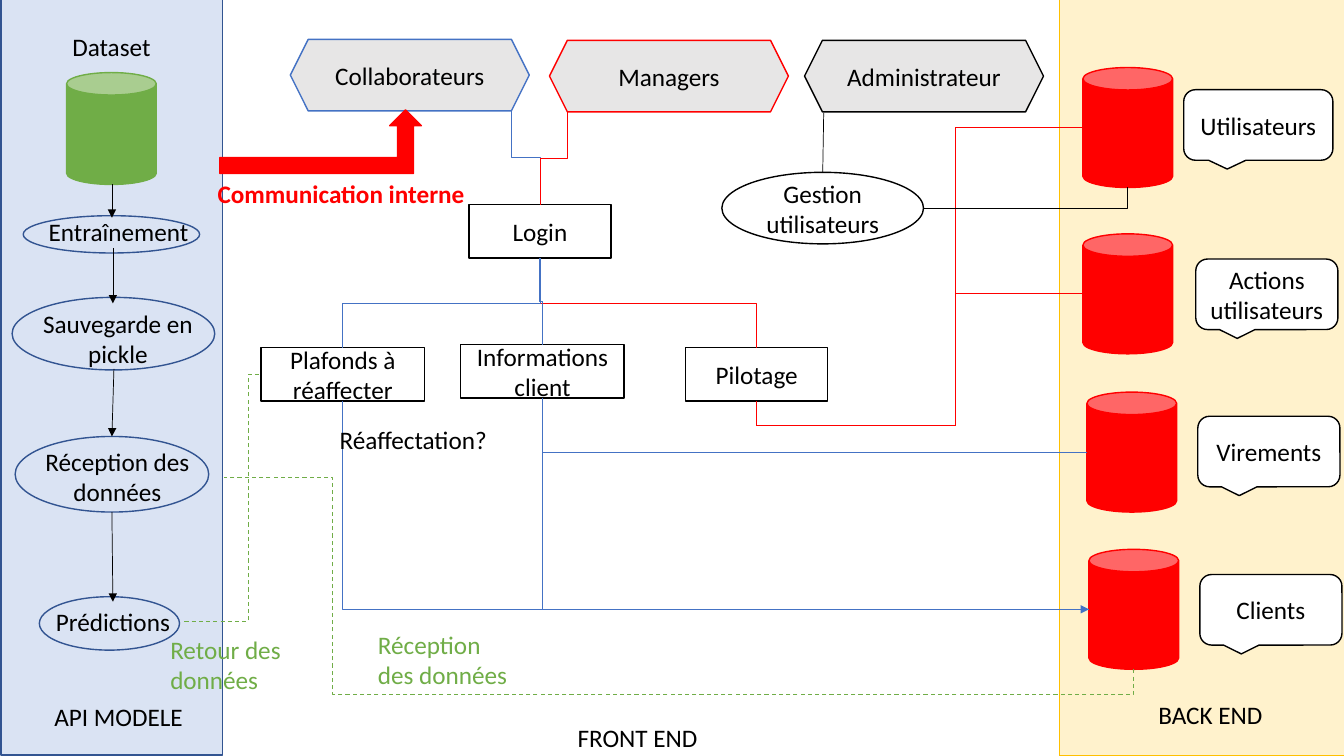
import pptx
import pptx.dml.color
import pptx.enum.dml
import pptx.enum.shapes
import pptx.enum.text
import pptx.oxml.ns
import pptx.oxml.xmlchemy
import pptx.util

SHAPE = pptx.enum.shapes.MSO_SHAPE
ALIGN = pptx.enum.text.PP_ALIGN
WIDTH, HEIGHT = 13.33, 7.5
BLACK, WHITE, GREY = "000000", "FFFFFF", "E7E6E6"
RED, GREEN, BLUE, NAVY = "FF0000", "70AD47", "4472C4", "325491"

# fill, line, left, top, width, height
PANELS = [
    ("FFF2CC", "FFC000", 10.51, -0.01, 2.86, 7.51),
    ("DAE3F3", NAVY, 0.01, -0.01, 2.2, 7.5),
]
ROLE_SIZE = (2.37, 0.71)
ROLES = [  # name, line, left, top
    ("Administrateur", BLACK, 7.98, 0.4),
    ("Collaborateurs", BLUE, 2.88, 0.39),
    ("Managers", RED, 5.45, 0.4),
]
PAGE_HEIGHT = 0.53
PAGES = [  # name, left, top, width
    ("Login", 4.65, 2.03, 1.41),
    ("Plafonds à réaffecter", 2.59, 3.45, 1.62),
    ("Informations client", 4.57, 3.42, 1.62),
    ("Pilotage", 6.8, 3.45, 1.41),
]
DATABASE_SIZE = (0.89, 1.19)
BUBBLE_HEIGHT = 0.7
DATABASES = [  # name, left, top, bubble left, bubble top, bubble width
    ("Utilisateurs", 10.74, 0.67, 11.74, 0.89, 1.48),
    ("Actions utilisateurs", 10.74, 2.32, 11.86, 2.57, 1.41),
    ("Virements", 10.78, 3.89, 11.88, 4.13, 1.41),
    ("Clients", 10.8, 5.45, 11.9, 5.7, 1.41),
]
STEPS = [  # text, text box, ellipse
    ("Entraînement", (0.3, 2.1, 1.75, 0.4), (0.23, 2.14, 1.75, 0.37)),
    ("Sauvegarde en pickle", (0.29, 3.01, 1.76, 0.71), (0.12, 2.95, 2.01, 0.72)),
    ("Réception des données", (0.11, 4.38, 2.11, 0.71), (0.15, 4.33, 1.92, 0.75)),
    ("Prédictions", (0.41, 5.97, 1.42, 0.4), (0.39, 5.92, 1.39, 0.53)),
]
LABELS = [  # text, colour, bold, alignment, box
    ("Dataset", BLACK, False, ALIGN.CENTER, (0.35, 0.26, 1.51, 0.4)),
    ("Réaffectation?", BLACK, False, ALIGN.LEFT, (3.27, 4.16, 1.74, 0.4)),
    ("Réception des données", GREEN, False, ALIGN.LEFT, (3.65, 6.19, 1.6, 0.71)),
    ("Retour des données", GREEN, False, ALIGN.LEFT, (1.59, 6.24, 1.39, 0.71)),
    ("Communication interne", RED, True, ALIGN.LEFT, (2.06, 1.72, 2.95, 0.4)),
    ("BACK END", BLACK, False, ALIGN.LEFT, (11.39, 6.89, 1.28, 0.4)),
    ("FRONT END", BLACK, False, ALIGN.LEFT, (5.63, 7.12, 1.72, 0.4)),
    ("API MODELE", BLACK, False, ALIGN.LEFT, (0.44, 6.91, 1.66, 0.4)),
]
STEP_ARROWS = [
    ((1.11, 1.83), (1.11, 2.16)),
    ((1.12, 2.46), (1.12, 3.01)),
    ((1.13, 3.66), (1.11, 4.33)),
    ((1.11, 5.08), (1.12, 5.97)),
]
# start, end, bends as shares of the run, colour; ends are points or (shape, side)
ROUTES = [
    ((5.07, 1.1), ("Login", "top"), (0.5,), BLUE),
    ((5.63, 1.11), ("Login", "top"), (0.5,), RED),
    (("Login", "bottom"), ("Pilotage", "top"), (0.5,), RED),
    (("Pilotage", "bottom"), ("Utilisateurs", "left"), (-0.09, 0.61), RED),
    (("Pilotage", "bottom"), ("Actions utilisateurs", "left"), (-0.23, 0.61), RED),
    (("Login", "bottom"), ("Plafonds à réaffecter", "top"), (0.5,), BLUE),
    (("Plafonds à réaffecter", "bottom"), ("Clients", "left"), (), BLUE),
    (("Login", "bottom"), ("Informations client", "top"), (0.5,), BLUE),
    (("Informations client", "bottom"), ("Virements", "left"), (), BLUE),
    (("Clients", "bottom"), ("Réception des données", "right"), (-0.13, 0.88), GREEN),
    (("Prédictions", "right"), ("Plafonds à réaffecter", "left"), (0.83,), GREEN),
    (("Gestion utilisateurs", "right"), ("Utilisateurs", "bottom"), (), BLACK),
]
FINAL_ROUTE = (("Informations client", "bottom"), ("Clients", "left"), (), BLUE)
SIDES = {"top": (0.5, 0), "left": (0, 0.5), "bottom": (0.5, 1), "right": (1, 0.5)}

presentation = pptx.Presentation()
presentation.slide_width = pptx.util.Inches(WIDTH)
presentation.slide_height = pptx.util.Inches(HEIGHT)
slide = presentation.slides.add_slide(presentation.slide_layouts[6])
boxes = {}


def color(value):
    return pptx.dml.color.RGBColor.from_string(value)


def inches(values):
    return [pptx.util.Inches(value) for value in values]


def add_element(parent, tag, **attributes):
    element = pptx.oxml.xmlchemy.OxmlElement(tag)
    for name, value in attributes.items():
        element.set(name, value)
    parent.append(element)


def write(shape, text, text_color=BLACK, bold=False, alignment=ALIGN.CENTER):
    frame = shape.text_frame
    frame.word_wrap = True
    frame.text = text
    paragraph = frame.paragraphs[0]
    paragraph.alignment = alignment
    font = paragraph.runs[0].font
    font.name, font.size, font.bold = "Calibri", pptx.util.Pt(18), bold
    font.color.rgb = color(text_color)


def add_shape(kind, box, fill, line, text=""):
    shape = slide.shapes.add_shape(kind, *inches(box))
    shape.shadow.inherit = False
    if fill:
        shape.fill.solid()
        shape.fill.fore_color.rgb = color(fill)
    else:
        shape.fill.background()
    shape.line.color.rgb = color(line)
    shape.line.width = pptx.util.Pt(1)
    if text:
        shape.text_frame.vertical_anchor = pptx.enum.text.MSO_ANCHOR.MIDDLE
        write(shape, text)


def add_label(text, box, *style):
    label = slide.shapes.add_textbox(*inches(box))
    write(label, text, *style)
    label.text_frame.auto_size = pptx.enum.text.MSO_AUTO_SIZE.SHAPE_TO_FIT_TEXT
    return label


def add_line(start, end, line_color, arrow=False, kind="STRAIGHT"):
    connector_type = pptx.enum.shapes.MSO_CONNECTOR[kind]
    connector = slide.shapes.add_connector(connector_type, *inches(start + end))
    connector.line.color.rgb = color(line_color)
    connector.line.width = pptx.util.Pt(0.75 if line_color == GREEN else 0.5)
    if line_color == GREEN:
        connector.line.dash_style = pptx.enum.dml.MSO_LINE.DASH
    properties = connector._element.spPr
    if arrow:
        add_element(properties.find(pptx.oxml.ns.qn("a:ln")), "a:tailEnd", type="triangle")
    add_element(properties, "a:effectLst")
    return connector


def locate(target):
    """Give the point for a target that is a point or a (shape, side) pair."""
    if target[0] not in boxes:
        return target
    left, top, width, height = boxes[target[0]]
    across, down = SIDES[target[1]]
    return (left + across * width, top + down * height)


def add_route(start_target, end_target, bends, line_color, arrow=False):
    """Add an elbow that leaves sideways from a right side and downwards otherwise."""
    start, end = locate(start_target), locate(end_target)
    connector = add_line(start, end, line_color, arrow, "ELBOW")
    run, rise = end[0] - start[0], end[1] - start[1]
    width, height, turn = abs(run), abs(rise), 0
    flip_h, flip_v = run < 0, rise < 0
    if start_target[1] != "right":
        width, height, turn = height, width, 90
        flip_h, flip_v = rise < 0, run > 0
        if flip_v and not flip_h:
            turn, flip_h, flip_v = 270, True, False
    connector.left, connector.top, connector.width, connector.height = inches((
        (start[0] + end[0] - width) / 2, (start[1] + end[1] - height) / 2, width, height))
    transform = connector._element.spPr.find(pptx.oxml.ns.qn("a:xfrm"))
    for name, value in (("rot", turn * 60000), ("flipH", int(flip_h)), ("flipV", int(flip_v))):
        transform.set(name, str(value))
    geometry = connector._element.spPr.find(pptx.oxml.ns.qn("a:prstGeom"))
    geometry.set("prst", f"bentConnector{len(bends) + 2}")
    adjustments = geometry.find(pptx.oxml.ns.qn("a:avLst"))
    for number, bend in enumerate(bends, 1):
        add_element(adjustments, "a:gd", name=f"adj{number}", fmla=f"val {round(bend * 100000)}")


for fill, line, *box in PANELS:
    add_shape(SHAPE.RECTANGLE, box, fill, line)
for name, line, *corner in ROLES:
    add_shape(SHAPE.HEXAGON, (*corner, *ROLE_SIZE), GREY, line, name)
boxes["Gestion utilisateurs"] = (7.16, 1.71, 2, 0.71)
add_shape(SHAPE.OVAL, boxes["Gestion utilisateurs"], WHITE, BLACK, "Gestion utilisateurs")
add_line((8.17, 1.12), (8.16, 1.71), BLACK)
for name, left, top, width in PAGES:
    boxes[name] = (left, top, width, PAGE_HEIGHT)
    add_shape(SHAPE.RECTANGLE, boxes[name], WHITE, BLACK, name)
for name, left, top, bubble_left, bubble_top, bubble_width in DATABASES:
    boxes[name] = (left, top, *DATABASE_SIZE)
    add_shape(SHAPE.CAN, boxes[name], RED, RED)
    bubble = (bubble_left, bubble_top, bubble_width, BUBBLE_HEIGHT)
    add_shape(SHAPE.ROUNDED_RECTANGULAR_CALLOUT, bubble, WHITE, BLACK, name)
add_shape(SHAPE.CAN, (0.66, 0.72, 0.89, 1.11), GREEN, GREEN)
for name, box, ellipse in STEPS:
    boxes[name] = box
    step_label = add_label(name, box)
    add_shape(SHAPE.OVAL, ellipse, None, NAVY)
for start, end in STEP_ARROWS:
    step_arrow = add_line(start, end, BLACK, arrow=True)
step_arrow.end_connect(step_label, 0)
for route in ROUTES:
    add_route(*route)
add_route(*FINAL_ROUTE, arrow=True)
for text, text_color, bold, alignment, box in LABELS:
    add_label(text, box, text_color, bold, alignment)
add_shape(SHAPE.BENT_UP_ARROW, (2.18, 1.09, 2, 0.63), RED, RED)

presentation.save("out.pptx")
